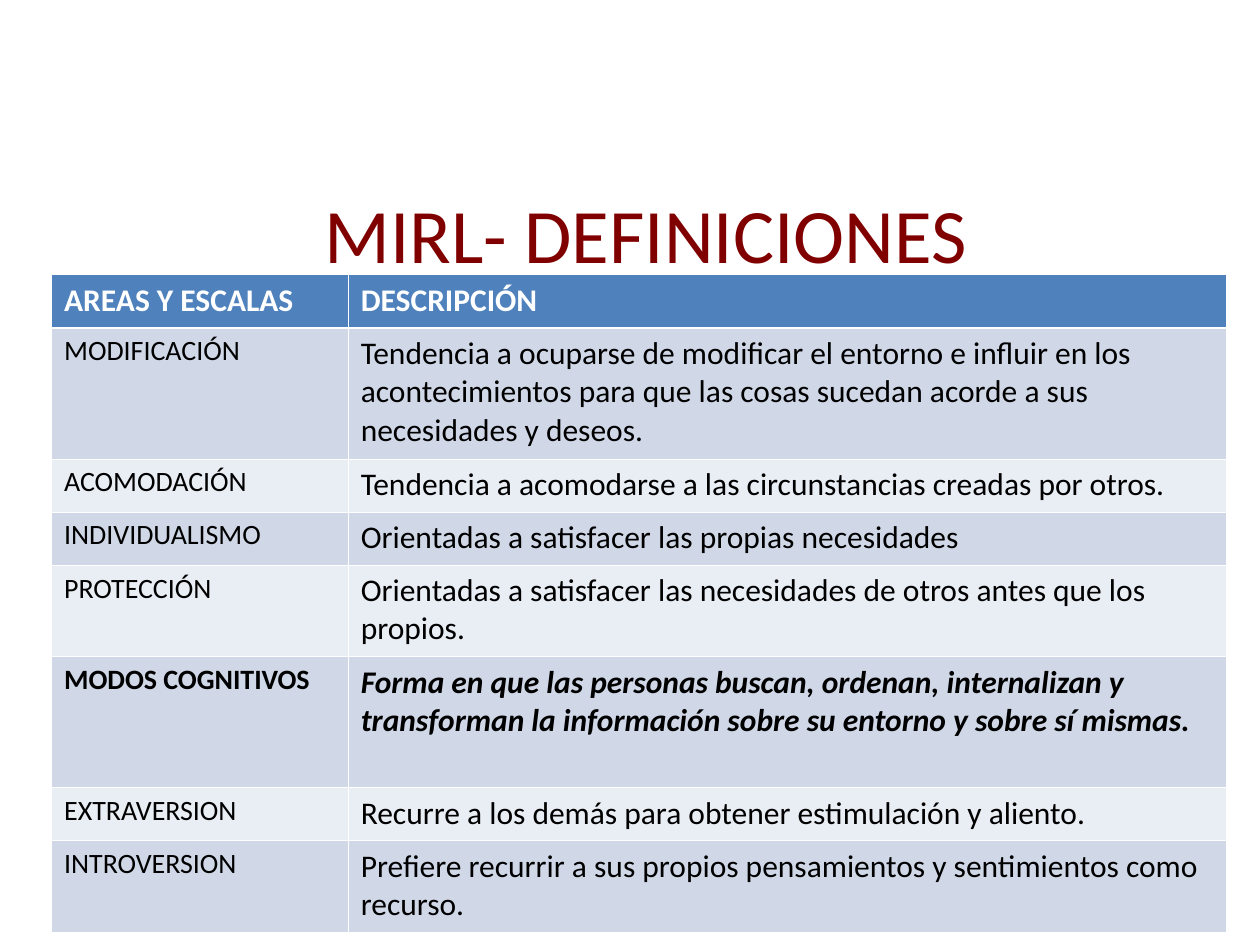
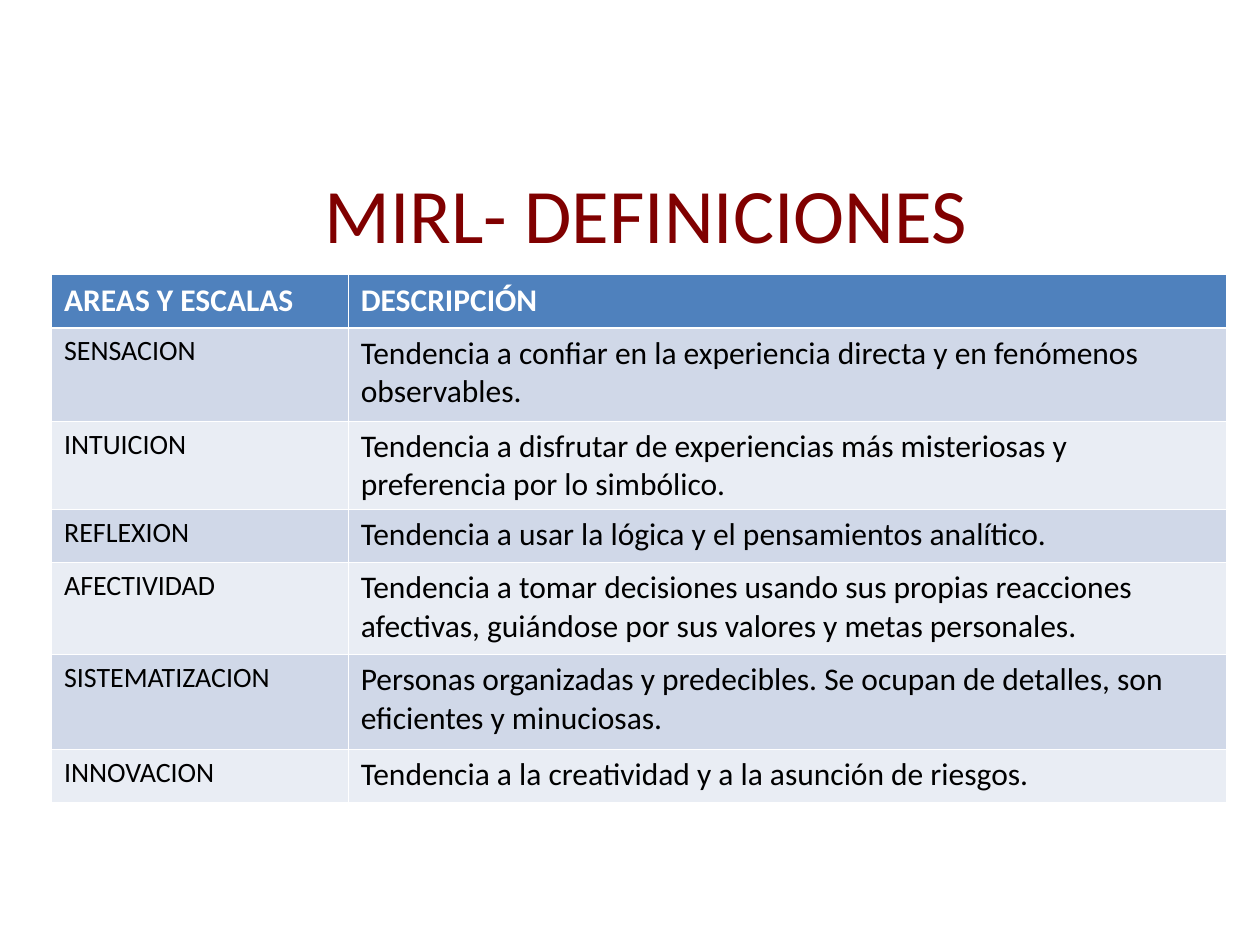
from lxml.etree import SubElement
from pptx import Presentation
from pptx.dml.color import RGBColor
from pptx.enum.text import MSO_ANCHOR as Anchor, PP_ALIGN as Align
from pptx.oxml.ns import qn
from pptx.util import Cm, Pt

# Shared look
FONT = "Calibri"
MAROON = RGBColor(0x80, 0x00, 0x00)
BLUE = RGBColor(0x4F, 0x81, 0xBD)
BAND_DARK = RGBColor(0xD0, 0xD8, 0xE8)
BAND_LIGHT = RGBColor(0xE9, 0xED, 0xF4)
WHITE = RGBColor(0xFF, 0xFF, 0xFF)
BLACK = RGBColor(0x00, 0x00, 0x00)

TITLE = "MIRL- DEFINICIONES"
HEADINGS = ("AREAS Y ESCALAS", "DESCRIPCIÓN")
COLUMN_WIDTHS = (5.98, 17.7)
THIN, THICK = Pt(0.45), Pt(1.47)

# Row heights in cm, by number of text lines
ONE_LINE, TWO_LINES, THREE_LINES = 1.07, 1.85, 2.64

TITLE_FORMAT = {"name": FONT, "size": Pt(44), "color": MAROON}
HEADING_FORMAT = {"name": FONT, "size": Pt(18), "color": WHITE, "bold": True}
SCALE_FORMAT = {"name": FONT, "size": Pt(16), "color": BLACK, "bold": False}
DESCRIPTION_FORMAT = SCALE_FORMAT | {"size": Pt(18)}

# Each row: scale, description, height in cm
AREA_ROWS = [
    ("MODIFICACIÓN", "Tendencia a ocuparse de modificar el entorno e influir en los "
     "acontecimientos para que las cosas sucedan acorde a sus necesidades y deseos.",
     THREE_LINES),
    ("ACOMODACIÓN", "Tendencia a acomodarse a las circunstancias creadas por otros.",
     ONE_LINE),
    ("INDIVIDUALISMO", "Orientadas a satisfacer las propias necesidades", ONE_LINE),
    ("PROTECCIÓN", "Orientadas a satisfacer las necesidades de otros antes que los propios.",
     TWO_LINES),
    ("MODOS COGNITIVOS", "Forma en que las personas buscan, ordenan, internalizan y "
     "transforman la información sobre su entorno y sobre sí mismas.", THREE_LINES),
    ("EXTRAVERSION", "Recurre a los demás para obtener estimulación y aliento.", ONE_LINE),
    ("INTROVERSION", "Prefiere recurrir a sus propios pensamientos y sentimientos como "
     "recurso.", TWO_LINES),
]
COGNITIVE_ROWS = [
    ("SENSACION", "Tendencia a confiar en la experiencia directa y en fenómenos "
     "observables.", 1.88),
    ("INTUICION", "Tendencia a disfrutar de experiencias más misteriosas y preferencia "
     "por lo simbólico.", 1.78),
    ("REFLEXION", "Tendencia a usar la lógica y el pensamientos analítico.", ONE_LINE),
    ("AFECTIVIDAD", "Tendencia a tomar decisiones usando sus propias reacciones "
     "afectivas, guiándose por sus valores y metas personales.", TWO_LINES),
    ("SISTEMATIZACION", "Personas organizadas y predecibles. Se ocupan de detalles, son "
     "eficientes y minuciosas.", 1.91),
    ("INNOVACION", "Tendencia a la creatividad y a la asunción de riesgos.", ONE_LINE),
]
AREA_HEADINGS = {"MODOS COGNITIVOS"}


def write(para, text, text_format):
    span = para.add_run()
    span.text = text
    for name, value in text_format.items():
        if name == "color":
            span.font.color.rgb = value
        else:
            setattr(span.font, name, value)


def add_title(page, top):
    box = page.shapes.add_textbox(Cm(1.59), Cm(top), Cm(22.86), Cm(2.34))
    frame = box.text_frame
    for name, value in {"word_wrap": True, "vertical_anchor": Anchor.MIDDLE}.items():
        setattr(frame, name, value)
    para = frame.paragraphs[0]
    para.alignment = Align.CENTER
    write(para, TITLE, TITLE_FORMAT)


def set_borders(cell, widths):
    """Draw white borders; they must stand before the fill in the cell."""
    properties = cell._tc.get_or_add_tcPr()
    for index, (side, width) in enumerate(widths.items()):
        line = SubElement(properties, qn(f"a:ln{side}"), w=str(int(width)))
        fill = SubElement(line, qn("a:solidFill"))
        SubElement(fill, qn("a:srgbClr"), val=str(WHITE))
        properties.insert(index, line)


def fill_row(table, index, texts, formats, color):
    widths = {"L": THIN, "R": THIN,
              "T": THICK if index == 1 else THIN,
              "B": THICK if index == 0 else THIN}
    for column, (text, text_format) in enumerate(zip(texts, formats)):
        cell = table.cell(index, column)
        cell.fill.solid()
        cell.fill.fore_color.rgb = color
        write(cell.text_frame.paragraphs[0], text, text_format)
        set_borders(cell, widths)


def add_definitions(page, rows):
    heights = [ONE_LINE] + [height for _, _, height in rows]
    table = page.shapes.add_table(len(heights), len(HEADINGS), Cm(1.04), Cm(5.54),
                                  Cm(sum(COLUMN_WIDTHS)), Cm(sum(heights))).table
    for column, width in zip(table.columns, COLUMN_WIDTHS):
        column.width = Cm(width)
    for row, height in zip(table.rows, heights):
        row.height = Cm(height)

    fill_row(table, 0, HEADINGS, [HEADING_FORMAT] * 2, BLUE)
    for index, (scale, description, _) in enumerate(rows, start=1):
        formats = [SCALE_FORMAT, DESCRIPTION_FORMAT]
        if scale in AREA_HEADINGS:
            formats = [SCALE_FORMAT | {"bold": True},
                       DESCRIPTION_FORMAT | {"bold": True, "italic": True}]
        color = BAND_DARK if index % 2 else BAND_LIGHT
        fill_row(table, index, (scale, description), formats, color)


def main():
    deck = Presentation()
    deck.slide_width, deck.slide_height = Cm(25.4), Cm(19.05)
    for rows, title_top in ((AREA_ROWS, 3.53), (COGNITIVE_ROWS, 3.12)):
        page = deck.slides.add_slide(deck.slide_layouts[6])
        add_definitions(page, rows)
        add_title(page, title_top)
    deck.save("out.pptx")


if __name__ == "__main__":
    main()
